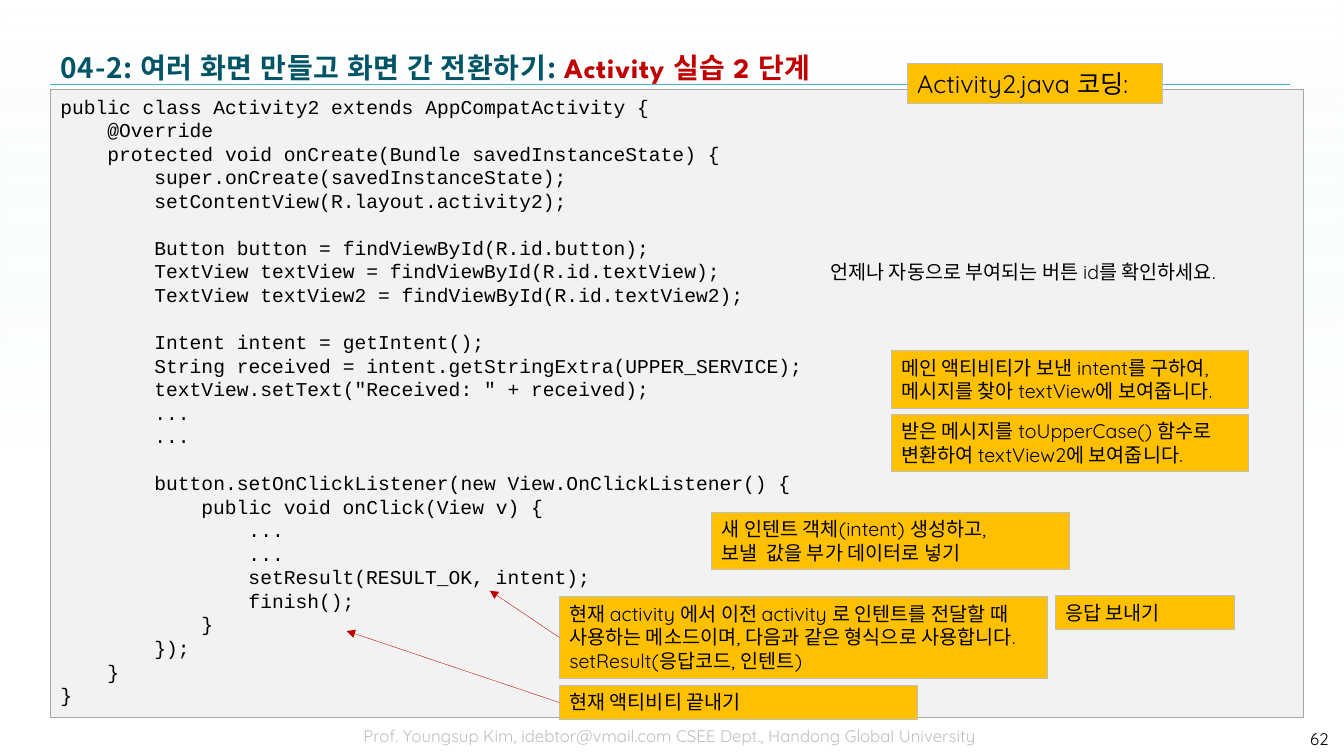
"""Build the Activity2.java coding slide with its annotated code listing."""
from dataclasses import dataclass

from lxml.etree import SubElement
from pptx import Presentation
from pptx.dml.color import RGBColor
from pptx.enum.shapes import MSO_CONNECTOR, MSO_SHAPE
from pptx.enum.text import MSO_ANCHOR, MSO_AUTO_SIZE, PP_ALIGN
from pptx.oxml.ns import qn
from pptx.util import Emu, Inches, Pt

COLORS = {
    "mist": "D9F3F4", "white": "FFFFFF", "rule": "4FADD1", "teal": "005466",
    "red": "C00000", "black": "000000", "footer": "BFBFBF",
    "panel": "F2F2F2", "panel_edge": "A6A6A6",
    "amber": "FFC000", "amber_edge": "BFBFBF",
}
COLUMNS, ROWS = 160, 90
KOREAN, BODY, MONO, DISPLAY = "Noto Sans CJK KR", "Quicksand", "Courier New", "League Spartan"
CODE_SIZE = 14
CHAR_WIDTH = 0.6 * CODE_SIZE
LINE_RATIO = 1.2

CODE_BLOCKS = [
    """public class Activity2 extends AppCompatActivity {
    @Override
    protected void onCreate(Bundle savedInstanceState) {
        super.onCreate(savedInstanceState);
        setContentView(R.layout.activity2);""",
    """        Button button = findViewById(R.id.button);
        TextView textView = findViewById(R.id.textView);
        TextView textView2 = findViewById(R.id.textView2);""",
    """        Intent intent = getIntent();
        String received = intent.getStringExtra(UPPER_SERVICE);
        textView.setText("Received: " + received);
        ...
        ...""",
    """        button.setOnClickListener(new View.OnClickListener() {
            public void onClick(View v) {
                ...
                ...
                setResult(RESULT_OK, intent);
                finish();
            }
        });
    }
}""",
]


@dataclass(frozen=True)
class Area:
    column: float
    row: float
    columns: float
    rows: float


@dataclass(frozen=True)
class Callout:
    area: Area
    text: str
    size: int = 14
    wrap: bool = True
    target: tuple[float, float] | None = None


@dataclass(frozen=True)
class Label:
    area: Area
    text: str
    size: int = 12
    color: str = "black"
    align: PP_ALIGN = PP_ALIGN.LEFT
    anchor: MSO_ANCHOR = MSO_ANCHOR.TOP
    wrap: bool = True


CALLOUTS = [
    Callout(Area(108, 7.56, 30.36, 4.8), "Activity2.java 코딩:", 18, False),
    Callout(Area(125.64, 70.92, 21.36, 4.08), "응답 보내기"),
    Callout(Area(66.6, 81.6, 42.6, 4.08), "현재 액티비티 끝내기", target=(41.28, 75.12)),
    Callout(Area(66.6, 71.04, 58.08, 9.72),
            "현재 activity 에서 이전 activity 로 인텐트를 전달할 때 사용하는 메소드이며, "
            "다음과 같은 형식으로 사용합니다.\nsetResult(응답코드, 인텐트)", target=(58.32, 70.32)),
    Callout(Area(106.08, 41.76, 42.6, 6.84),
            "메인 액티비티가 보낸 intent를 구하여, 메시지를 찾아 textView에 보여줍니다."),
    Callout(Area(106.08, 49.32, 42.6, 6.84),
            "받은 메시지를 toUpperCase() 함수로 변환하여 textView2에 보여줍니다."),
    Callout(Area(84.72, 60.96, 42.6, 6.84),
            "새 인텐트 객체(intent) 생성하고,\n보낼  값을 부가 데이터로 넣기"),
]
LABELS = [
    Label(Area(29.16, 85.8, 101.16, 4.32),
          "Prof. Youngsup Kim, idebtor@vmail.com CSEE Dept., Handong Global University",
          color="footer", align=PP_ALIGN.CENTER),
    Label(Area(145.32, 85.56, 14.04, 4.8), "62",
          align=PP_ALIGN.RIGHT, anchor=MSO_ANCHOR.MIDDLE),
    Label(Area(97.68, 30.36, 51, 4.08), "언제나 자동으로 부여되는 버튼 id를 확인하세요.",
          14, wrap=False),
]

deck = Presentation()
deck.slide_width, deck.slide_height = Inches(13.33), Inches(7.5)
slide = deck.slides.add_slide(deck.slide_layouts[5])


def rgb(name: str) -> RGBColor:
    return RGBColor.from_string(COLORS[name])


def col(count: float) -> Emu:
    return Emu(round(deck.slide_width * count / COLUMNS))


def row(count: float) -> Emu:
    return Emu(round(deck.slide_height * count / ROWS))


def bounds(area: Area) -> tuple[Emu, Emu, Emu, Emu]:
    return col(area.column), row(area.row), col(area.columns), row(area.rows)


def style_run(run, font: str, size: int, color: str, bold: bool = False) -> None:
    run.font.name, run.font.size, run.font.bold = font, Pt(size), bold
    run.font.color.rgb = rgb(color)
    SubElement(run.font._element, qn("a:ea")).set("typeface", KOREAN)


def style_text(frame, font: str, size: int, color: str = "black",
               align: PP_ALIGN = PP_ALIGN.LEFT) -> None:
    for paragraph in frame.paragraphs:
        paragraph.alignment = align
        paragraph.line_spacing = Pt(LINE_RATIO * size)
        for run in paragraph.runs:
            style_run(run, font, size, color)


def add_box(area: Area, fill: str, edge: str):
    box = slide.shapes.add_shape(MSO_SHAPE.RECTANGLE, *bounds(area))
    box.shadow.inherit = False
    box.fill.solid()
    box.fill.fore_color.rgb = rgb(fill)
    box.line.color.rgb = rgb(edge)
    box.line.width = Pt(0.75)
    box.text_frame.word_wrap = True
    box.text_frame.vertical_anchor = MSO_ANCHOR.TOP
    return box


def add_line(start: tuple[float, float], end: tuple[float, float], color: str):
    line = slide.shapes.add_connector(MSO_CONNECTOR.STRAIGHT, col(start[0]), row(start[1]),
                                      col(end[0]), row(end[1]))
    line.line.color.rgb = rgb(color)
    line.line.width = Pt(0.25)
    SubElement(line._element.spPr, qn("a:effectLst"))
    return line


def add_backdrop() -> None:
    backdrop = slide.shapes.add_shape(MSO_SHAPE.RECTANGLE, *bounds(Area(0, 0, COLUMNS, ROWS)))
    backdrop.shadow.inherit = False
    backdrop.line.fill.background()
    backdrop.fill.gradient()
    backdrop.fill.gradient_angle = 270
    looks = (("mist", 0, "0"), ("white", 0.61, "40000"))
    for stop, (color, position, _) in zip(backdrop.fill.gradient_stops, looks):
        stop.color.rgb, stop.position = rgb(color), position
    for tint, (_, _, alpha) in zip(backdrop._element.spPr.iter(qn("a:srgbClr")), looks):
        SubElement(tint, qn("a:alpha")).set("val", alpha)
    slide.shapes._spTree.insert(2, backdrop._element)


def add_title() -> None:
    title = slide.shapes.title
    title.left, title.top, title.width, title.height = bounds(Area(6, 5.04, 147.6, 6))
    frame = title.text_frame
    frame.text = "04-2: 여러 화면 만들고 화면 간 전환하기: "
    frame.auto_size = MSO_AUTO_SIZE.NONE
    frame.vertical_anchor = MSO_ANCHOR.MIDDLE
    heading = frame.paragraphs[0]
    heading.alignment = PP_ALIGN.LEFT
    heading.add_run().text = "Activity 실습 2 단계"
    for run, font, color in zip(heading.runs, (KOREAN, DISPLAY), ("teal", "red")):
        style_run(run, font, 20, color, True)
        run.font._element.set("spc", "50")


def add_code() -> None:
    frame = add_box(Area(6, 10.68, 149.16, 74.76), "panel", "panel_edge").text_frame
    statements = [(line, number > 0 and place == 0)
                  for number, block in enumerate(CODE_BLOCKS)
                  for place, line in enumerate(block.split("\n"))]
    frame.text = "\n".join(line.lstrip() for line, _ in statements)
    style_text(frame, MONO, CODE_SIZE)
    for paragraph, (line, opens_block) in zip(frame.paragraphs, statements):
        indent = len(line) - len(line.lstrip())
        paragraph._p.get_or_add_pPr().set("marL", str(int(Pt(CHAR_WIDTH * indent))))
        if opens_block:
            paragraph.space_before = Pt(LINE_RATIO * CODE_SIZE)


def add_label(label: Label) -> None:
    frame = slide.shapes.add_textbox(*bounds(label.area)).text_frame
    frame.word_wrap, frame.vertical_anchor = label.wrap, label.anchor
    frame.text = label.text
    style_text(frame, BODY, label.size, label.color, label.align)


def add_callout(callout: Callout) -> None:
    box = add_box(callout.area, "amber", "amber_edge")
    box.text_frame.word_wrap = callout.wrap
    box.text_frame.text = callout.text
    style_text(box.text_frame, BODY, callout.size)
    if callout.target:
        arrow = add_line((callout.area.column, callout.area.row), callout.target, "red")
        arrow.begin_connect(box, 1)
        SubElement(arrow.line._get_or_add_ln(), qn("a:tailEnd")).set("type", "triangle")


add_backdrop()
add_line((6, 10.08), (153.6, 10.08), "rule")
add_title()
add_code()
for label in LABELS:
    add_label(label)
for callout in CALLOUTS:
    add_callout(callout)
deck.save("out.pptx")
